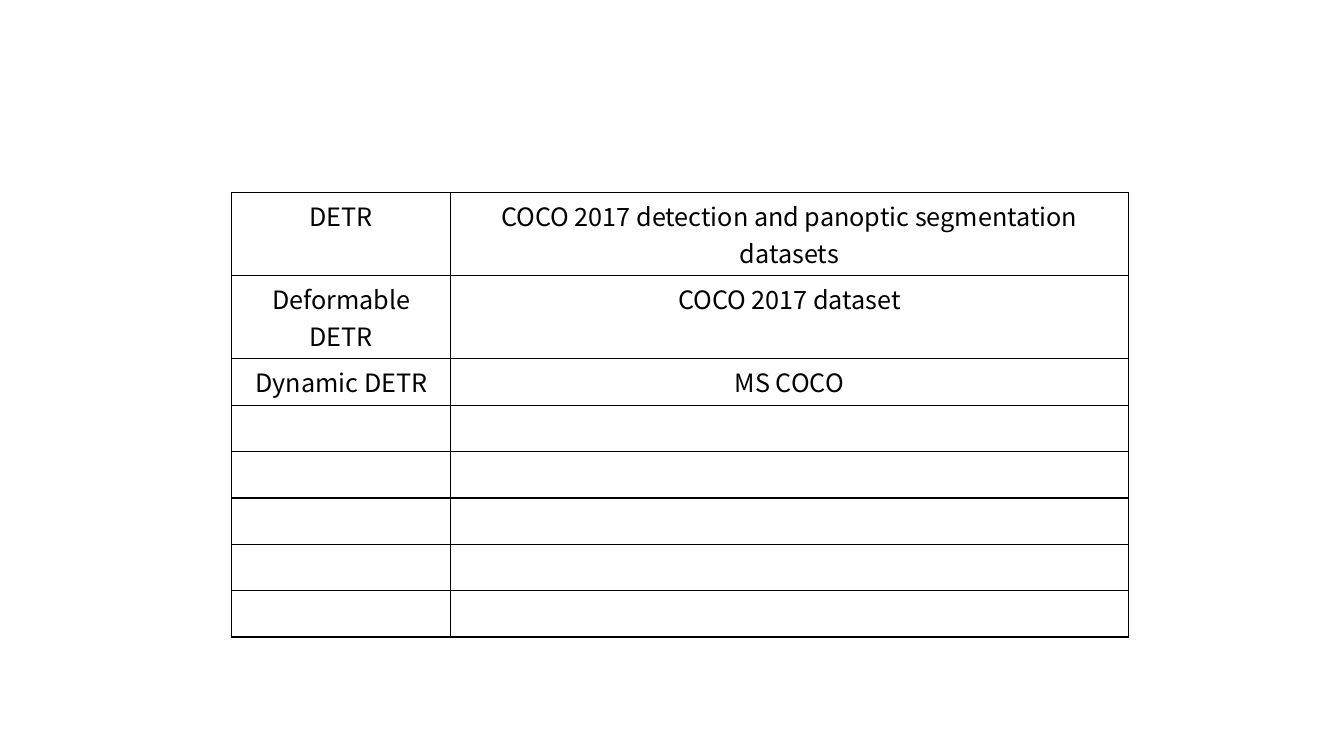
from lxml.etree import SubElement
from pptx import Presentation
from pptx.dml.color import RGBColor
from pptx.enum.text import PP_ALIGN
from pptx.oxml.ns import qn
from pptx.util import Inches, Pt

BLACK = RGBColor(0x00, 0x00, 0x00)
FONT = "Noto Sans CJK SC"
ROW_COUNT = 8
MODEL_DATASETS = [
    ("DETR", "COCO 2017 detection and panoptic segmentation datasets"),
    ("Deformable DETR", "COCO 2017 dataset"),
    ("Dynamic DETR", "MS COCO"),
]
ROW_HEIGHTS = [0.82, 0.82] + [0.46] * (ROW_COUNT - 2)


def add_borders(cell):
    properties = cell._tc.get_or_add_tcPr()
    for side in ("a:lnL", "a:lnR", "a:lnT", "a:lnB"):
        border = SubElement(properties, qn(side), w=str(Pt(1)))
        fill = SubElement(border, qn("a:solidFill"))
        SubElement(fill, qn("a:srgbClr"), val=str(BLACK))


prs = Presentation()
prs.slide_width = Inches(13.33)
prs.slide_height = Inches(7.5)
slide = prs.slides.add_slide(prs.slide_layouts[6])

datasets = slide.shapes.add_table(
    ROW_COUNT, 2, Inches(2.3), Inches(1.91), Inches(8.89), Inches(sum(ROW_HEIGHTS))
).table
datasets.first_row = False
datasets.horz_banding = False
datasets.columns[0].width = Inches(2.17)
datasets.columns[1].width = Inches(6.72)
for row, height in zip(datasets.rows, ROW_HEIGHTS):
    row.height = Inches(height)

for cell in datasets.iter_cells():
    add_borders(cell)
    cell.fill.background()

for row, entry in zip(datasets.rows, MODEL_DATASETS):
    for cell, wording in zip(row.cells, entry):
        paragraph = cell.text_frame.paragraphs[0]
        paragraph.alignment = PP_ALIGN.CENTER
        run = paragraph.add_run()
        run.text = wording
        run.font.name = FONT
        run.font.size = Pt(18)
        run.font.color.rgb = BLACK

prs.save("out.pptx")
